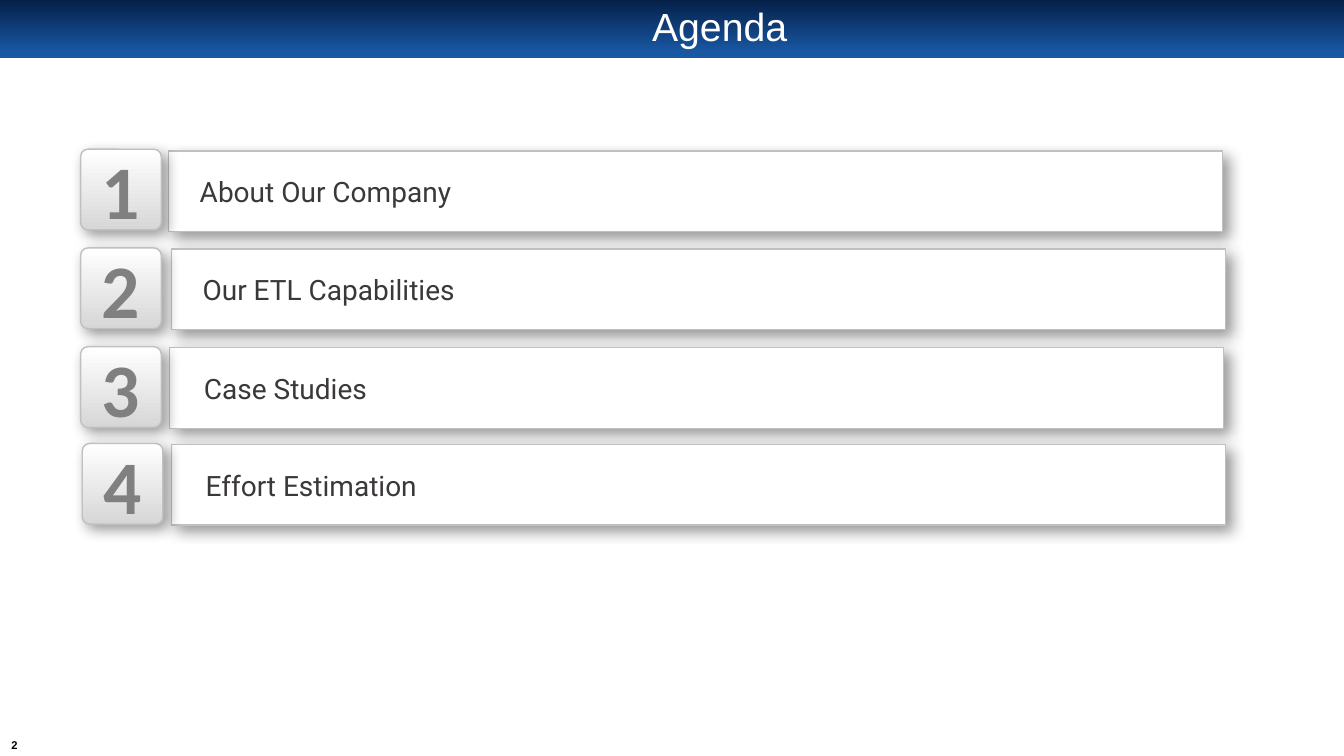
from dataclasses import dataclass

from lxml.etree import SubElement
from pptx import Presentation
from pptx.dml.color import RGBColor
from pptx.enum.shapes import MSO_SHAPE
from pptx.enum.text import MSO_ANCHOR, PP_ALIGN
from pptx.oxml.ns import qn
from pptx.shapes.autoshape import Shape
from pptx.slide import Slide
from pptx.text.text import TextFrame
from pptx.util import Pt

SIDE = 57.6


@dataclass
class Item:
    """One agenda entry, with lengths in points."""
    text: str
    left: float
    top: float
    panel: float
    drop: float
    inset: float


ITEMS = [
    Item("About Our Company", 57.6, 106.6, 120.4, 1.2, 22.3),
    Item("Our ETL Capabilities", 57.6, 177.1, 122.4, 0.7, 22.3),
    Item("Case Studies", 57.6, 247.7, 121.2, 0.7, 24.5),
    Item("Effort Estimation", 58.8, 316.8, 122.4, 0.7, 24.5),
]


def color(code: str) -> RGBColor:
    """Turn a hex string into a colour."""
    return RGBColor.from_string(code)


def shade(shape: Shape, stops: list[tuple[float, str]], angle: float) -> None:
    """Fill a shape with a linear two-stop gradient."""
    shape.fill.gradient()
    shape.fill.gradient_angle = angle
    for stop, (place, code) in zip(shape.fill.gradient_stops, stops):
        stop.position = place
        stop.color.rgb = color(code)


def write(frame: TextFrame, text: str, font: str, size: float, code: str,
          align: PP_ALIGN, bold: bool = False,
          left: float = 0, right: float = 0) -> None:
    """Put one formatted, vertically centred line in a frame."""
    frame.margin_left, frame.margin_right = Pt(left), Pt(right)
    frame.margin_top = frame.margin_bottom = 0
    frame.vertical_anchor = MSO_ANCHOR.MIDDLE
    frame.text = text
    line = frame.paragraphs[0]
    line.alignment = align
    line.font.name, line.font.size = font, Pt(size)
    line.font.bold = bold
    line.font.color.rgb = color(code)


def card(slide: Slide, kind: MSO_SHAPE, left: float, top: float,
         width: float) -> Shape:
    """Add a grey-edged shape with a soft shadow."""
    shape = slide.shapes.add_shape(kind, Pt(left), Pt(top), Pt(width), Pt(SIDE))
    shape.line.color.rgb = color("C0C0C0")
    shape.line.width = Pt(1)
    shape.shadow.inherit = False
    effects = shape.element.spPr.find(qn("a:effectLst"))
    shadow = SubElement(effects, qn("a:outerShdw"), blurRad=str(Pt(10)),
                        dist=str(Pt(5)), dir="2700000", algn="tl",
                        rotWithShape="0")
    black = SubElement(shadow, qn("a:srgbClr"), val="000000")
    SubElement(black, qn("a:alpha"), val="40000")
    return shape


def row(slide: Slide, number: int, item: Item) -> None:
    """Draw an agenda entry as a panel and a numbered badge."""
    panel = card(slide, MSO_SHAPE.RECTANGLE, item.panel,
                 item.top + item.drop, 753)
    panel.fill.solid()
    panel.fill.fore_color.rgb = color("FFFFFF")
    write(panel.text_frame, item.text, "Roboto", 20, "3B3838",
          PP_ALIGN.LEFT, left=item.inset, right=17.3)
    badge = card(slide, MSO_SHAPE.ROUNDED_RECTANGLE, item.left, item.top, SIDE)
    badge.adjustments[0] = 0.09
    shade(badge, [(0, "D7D7D7"), (1, "FFFFFF")], 90)
    write(badge.text_frame, str(number), "Calibri", 54, "808080",
          PP_ALIGN.CENTER, bold=True)


def head(slide: Slide) -> None:
    """Draw the top band and the title on it."""
    band = slide.shapes.add_shape(MSO_SHAPE.RECTANGLE, 0, 0, Pt(960), Pt(41.5))
    band.shadow.inherit = False
    band.line.fill.background()
    shade(band, [(0, "052049"), (0.9, "1957A3")], 270)
    title = slide.shapes.title
    title.element.addprevious(band.element)
    title.left, title.top = Pt(47.5), Pt(4.3)
    title.width, title.height = Pt(861), Pt(32.4)
    write(title.text_frame, "Agenda", "Arial", 28, "FFFFFF",
          PP_ALIGN.CENTER, left=79.2, right=7.2)
    title.text_frame.paragraphs[0].line_spacing = 0.9


def main() -> None:
    """Build the agenda slide and save it."""
    deck = Presentation()
    deck.slide_width, deck.slide_height = Pt(960), Pt(540)
    slide = deck.slides.add_slide(deck.slide_layouts[5])
    head(slide)
    for number, item in enumerate(ITEMS, 1):
        row(slide, number, item)
    page = slide.shapes.add_textbox(Pt(1.4), Pt(525.6), Pt(18), Pt(13.7))
    write(page.text_frame, "2", "Arial", 8, "000000",
          PP_ALIGN.CENTER, bold=True)
    deck.save("out.pptx")


if __name__ == "__main__":
    main()
